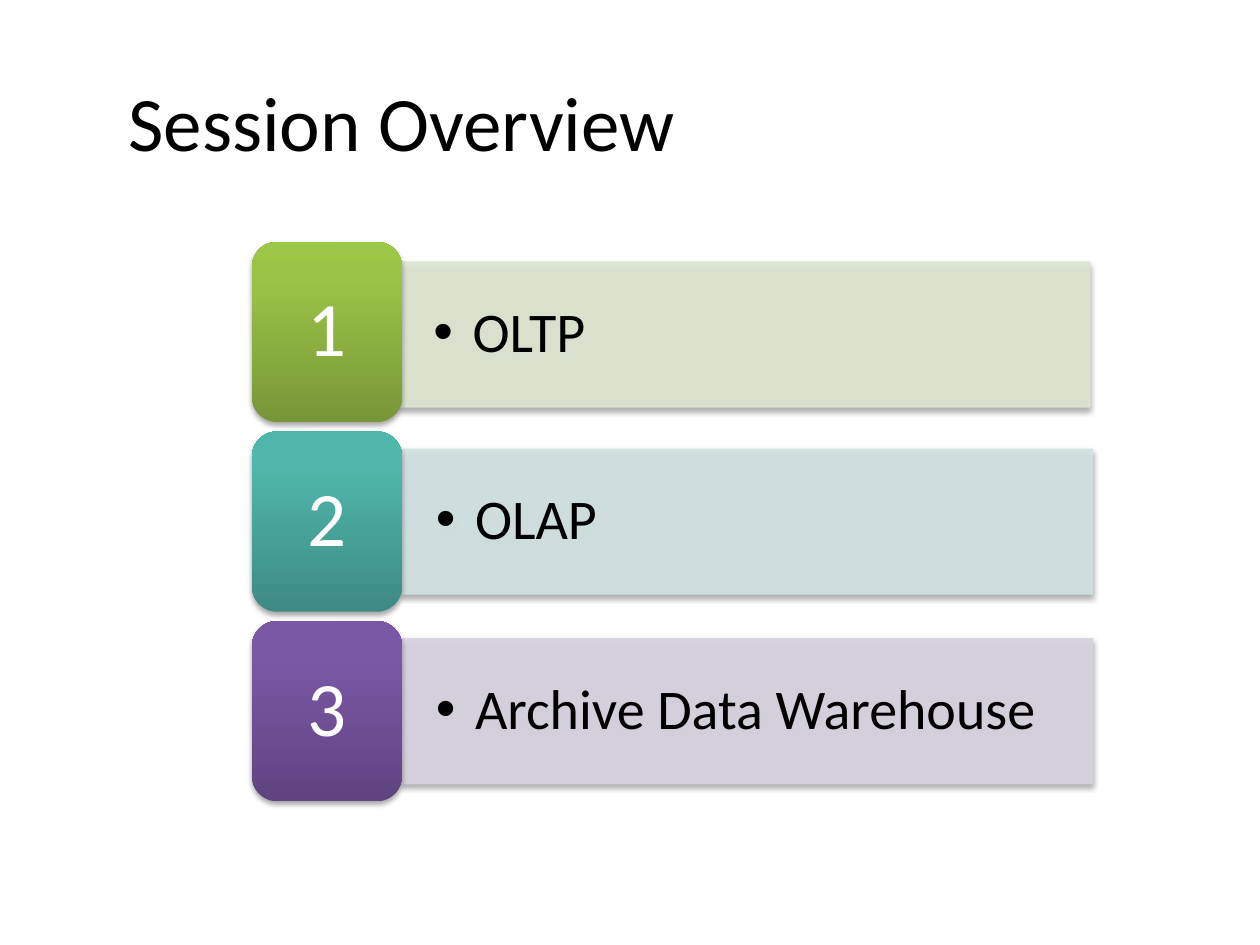
import pptx
import pptx.dml.color
import pptx.enum.shapes
import pptx.enum.text
import pptx.oxml
import pptx.oxml.ns
import pptx.util
from lxml import etree

RGB = pptx.dml.color.RGBColor
SHAPE = pptx.enum.shapes.MSO_SHAPE
ALIGN = pptx.enum.text.PP_ALIGN
MIDDLE = pptx.enum.text.MSO_ANCHOR.MIDDLE
Inches, Pt, qn = pptx.util.Inches, pptx.util.Pt, pptx.oxml.ns.qn

BLACK, WHITE = RGB(0, 0, 0), RGB(255, 255, 255)
FONT = "Calibri"
TOP, PITCH = 1.92, 1.505
TILE_LEFT, TILE_W, TILE_H = 2, 1.19, 1.43
BAR_W, BAR_H = 5.48, 1.15
# Topic, bar left, bar drop below tile top, bar colour, tile gradient from the bottom up
SESSIONS = [
    ("OLTP", 3.17, 0.16, RGB(0xDE, 0xE7, 0xD1),
     (RGB(0x77, 0x97, 0x37), RGB(0x9B, 0xC3, 0x48), RGB(0x9D, 0xC7, 0x46))),
    ("OLAP", 3.19, 0.14, RGB(0xD2, 0xE3, 0xE2),
     (RGB(0x3D, 0x8B, 0x83), RGB(0x50, 0xB5, 0xAA), RGB(0x4E, 0xB8, 0xAC))),
    ("Archive Data Warehouse", 3.19, 0.14, RGB(0xD8, 0xD3, 0xE0),
     (RGB(0x5F, 0x44, 0x80), RGB(0x7B, 0x58, 0xA6), RGB(0x7C, 0x57, 0xA8))),
]


def add_block(kind, box, text, size, color, insets):
    """Add a shadowed shape with one line of text; return shape and paragraph."""
    sp = slide.shapes.add_shape(kind, *(Inches(v) for v in box))
    sp.shadow.inherit = False
    effects = sp._element.spPr.find(qn("a:effectLst"))
    shadow = etree.SubElement(effects, qn("a:outerShdw"), blurRad=str(Pt(3.1)),
                              dist=str(Pt(1.8)), dir="5400000", rotWithShape="0")
    tint = etree.SubElement(shadow, qn("a:srgbClr"), val="000000")
    etree.SubElement(tint, qn("a:alpha"), val="35000")
    tf = sp.text_frame
    tf.word_wrap = True
    tf.vertical_anchor = MIDDLE
    tf.margin_left = tf.margin_right = Inches(insets[0])
    tf.margin_top = tf.margin_bottom = Inches(insets[1])
    tf.text = text
    p = tf.paragraphs[0]
    p.line_spacing = 0.9
    style_run(p.runs[0], size, color)
    return sp, p


def style_run(r, size, color):
    """Set the font, size and colour of a run."""
    r.font.name, r.font.size = FONT, Pt(size)
    r.font.color.rgb = color


prs = pptx.Presentation()
prs.slide_width, prs.slide_height = Inches(10), Inches(7.5)
slide = prs.slides.add_slide(prs.slide_layouts[5])

title = slide.shapes.title
title.left, title.top, title.width, title.height = (
    Inches(v) for v in (0.92, 0.33, 8.83, 1.25))
title.text_frame.text = "Session Overview"
title.text_frame.vertical_anchor = MIDDLE
title.text_frame.paragraphs[0].alignment = ALIGN.LEFT
style_run(title.text_frame.paragraphs[0].runs[0], 44, BLACK)

for i, (topic, bar_left, drop, bar_color, tile_colors) in enumerate(SESSIONS):
    top = TOP + i * PITCH

    bar, p = add_block(SHAPE.RECTANGLE, (bar_left, top + drop, BAR_W, BAR_H),
                       topic, 32, BLACK, (0.27, 0.14))
    bar.fill.solid()
    bar.fill.fore_color.rgb = bar.line.color.rgb = bar_color
    bar.line.width = Pt(0.75)
    for clr in bar._element.spPr.iter(qn("a:srgbClr")):
        if clr.getparent().tag == qn("a:solidFill"):
            etree.SubElement(clr, qn("a:alpha"), val="90000")
    p.alignment = ALIGN.LEFT
    pPr = p._p.get_or_add_pPr()
    pPr.set("marL", str(Inches(0.31)))
    pPr.set("indent", str(-Inches(0.31)))
    etree.SubElement(pPr, qn("a:buFont"), typeface="Arial")
    etree.SubElement(pPr, qn("a:buChar"), char="•")

    tile, p = add_block(SHAPE.ROUNDED_RECTANGLE, (TILE_LEFT, top, TILE_W, TILE_H),
                        str(i + 1), 44, WHITE, (0.24, 0.14))
    p.alignment = ALIGN.CENTER
    tile.line.fill.background()
    tile.fill.gradient()
    tile.fill.gradient_angle = 90
    stops = tile._element.spPr.find(".//" + qn("a:gsLst"))
    for stop in list(stops):
        stops.remove(stop)
    for pos, color in zip((0, 80, 100), tile_colors):
        stop = etree.SubElement(stops, qn("a:gs"), pos=str(pos * 1000))
        etree.SubElement(stop, qn("a:srgbClr"), val=str(color))

prs.save("out.pptx")
